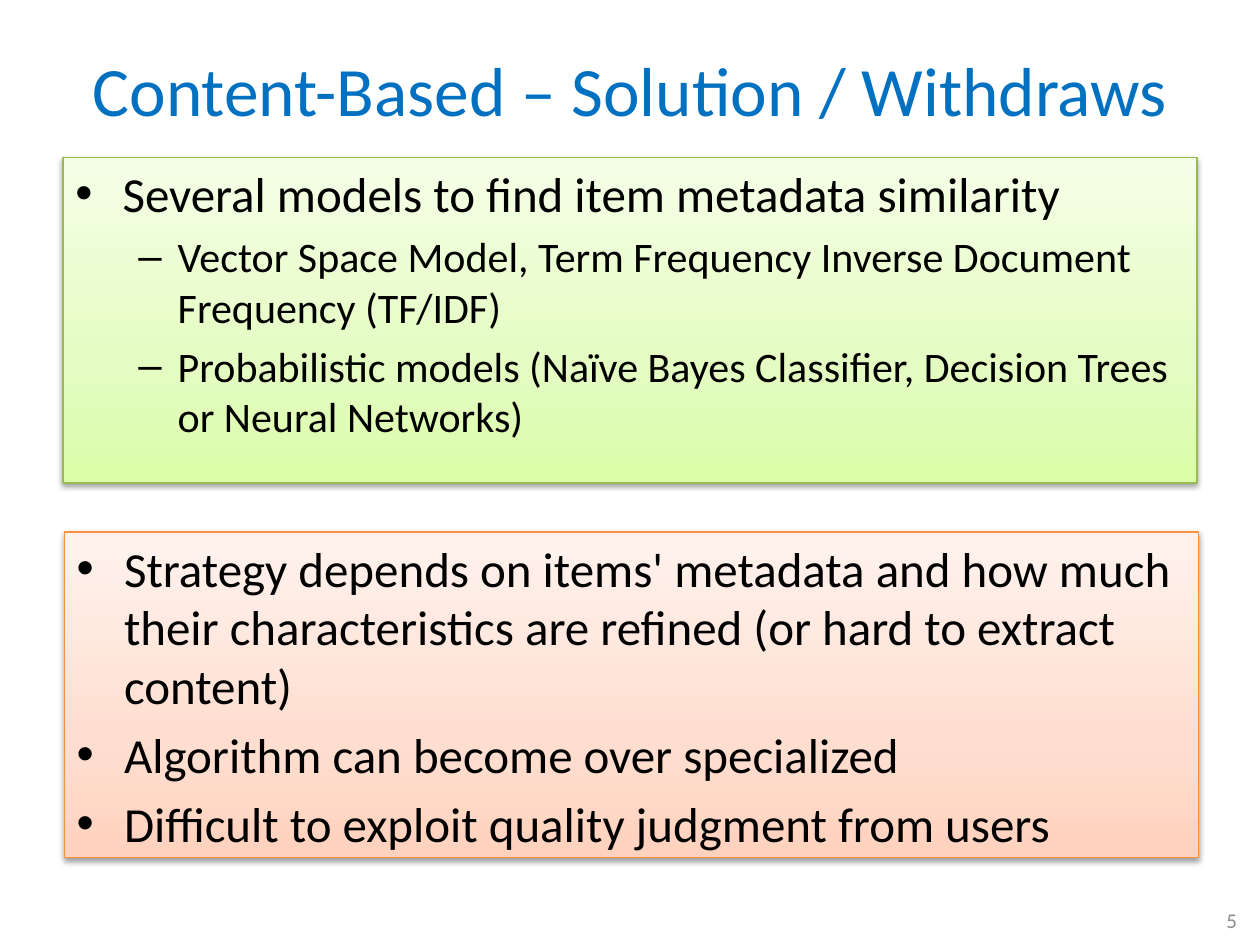
from lxml.etree import SubElement
from pptx import Presentation
from pptx.dml.color import RGBColor
from pptx.enum.shapes import MSO_SHAPE
from pptx.enum.text import MSO_ANCHOR, MSO_AUTO_SIZE, PP_ALIGN
from pptx.oxml.ns import qn
from pptx.util import Pt

COLORS = {
    "title": "0070C0",
    "text": "000000",
    "number": "8C8C8C",
    "shadow": "000000",
    "solution_line": "98B955",
    "drawback_line": "F69240",
}
GRADIENTS = {
    "solution": {0: "DAFDA7", 35: "E4FCC2", 100: "F5FFE7"},
    "drawback": {0: "FFD2BD", 35: "FFDED0", 100: "FFF2ED"},
}
LEVELS = [
    {"size": 28, "margin": 27, "hanging": 27, "bullet": "•"},
    {"size": 24, "margin": 58.5, "hanging": 22.5, "bullet": "–"},
]
SOLUTIONS = [
    (0, "Several models to find item metadata similarity"),
    (1, "Vector Space Model, Term Frequency Inverse Document Frequency (TF/IDF)"),
    (1, "Probabilistic models (Naïve Bayes Classifier, Decision Trees or Neural Networks)"),
]
DRAWBACKS = [
    (0, "Strategy depends on items' metadata and how much their characteristics "
        "are refined (or hard to extract content)"),
    (0, "Algorithm can become over specialized"),
    (0, "Difficult to exploit quality judgment from users"),
]


def write(paragraph, text, size=28, color="text", align=PP_ALIGN.LEFT):
    paragraph.alignment = align
    run = paragraph.add_run()
    run.text = text
    run.font.name = "Calibri"
    run.font.size = Pt(size)
    run.font.color.rgb = RGBColor.from_string(COLORS[color])


def prepare_frame(frame, anchor):
    frame.word_wrap = True
    frame.auto_size = MSO_AUTO_SIZE.NONE
    frame.vertical_anchor = anchor


def add_bullet(paragraph, level, text):
    style = LEVELS[level]
    write(paragraph, text, size=style["size"])
    paragraph.level = level
    paragraph.space_before = Pt(style["size"] * 0.2)
    properties = paragraph._p.get_or_add_pPr()
    properties.set("marL", str(Pt(style["margin"])))
    properties.set("indent", str(-Pt(style["hanging"])))
    SubElement(properties, qn("a:buFont"), typeface="Arial")
    SubElement(properties, qn("a:buChar"), char=style["bullet"])


def fill_gradient(panel, stops):
    panel.fill.gradient()
    panel.fill.gradient_angle = 90
    stop_list = panel._element.spPr.find(".//" + qn("a:gsLst"))
    for stop in list(stop_list):
        stop_list.remove(stop)
    for position, color in stops.items():
        stop = SubElement(stop_list, qn("a:gs"), pos=str(position * 1000))
        SubElement(stop, qn("a:srgbClr"), val=color)


def cast_shadow(panel):
    panel.shadow.inherit = False
    effects = panel._element.spPr.find(qn("a:effectLst"))
    shadow = SubElement(effects, qn("a:outerShdw"), blurRad=str(Pt(3.1)),
                        dist=str(Pt(1.6)), dir="5400000", rotWithShape="0")
    color = SubElement(shadow, qn("a:srgbClr"), val=COLORS["shadow"])
    SubElement(color, qn("a:alpha"), val="38000")


def add_panel(slide, kind, left, top, bullets):
    panel = slide.shapes.add_shape(MSO_SHAPE.RECTANGLE, Pt(left), Pt(top), Pt(648), Pt(186))
    fill_gradient(panel, GRADIENTS[kind])
    panel.line.color.rgb = RGBColor.from_string(COLORS[kind + "_line"])
    panel.line.width = Pt(0.75)
    cast_shadow(panel)
    frame = panel.text_frame
    prepare_frame(frame, MSO_ANCHOR.TOP)
    for index, (level, text) in enumerate(bullets):
        paragraph = frame.add_paragraph() if index else frame.paragraphs[0]
        add_bullet(paragraph, level, text)


def set_title(slide, text):
    title = slide.shapes.title
    title.left, title.top, title.width, title.height = Pt(36), Pt(18), Pt(648), Pt(66)
    prepare_frame(title.text_frame, MSO_ANCHOR.MIDDLE)
    write(title.text_frame.paragraphs[0], text, size=39.6, color="title", align=PP_ALIGN.CENTER)


def add_page_number(slide, number):
    page = slide.shapes.add_textbox(Pt(546), Pt(511.2), Pt(168), Pt(28.8))
    prepare_frame(page.text_frame, MSO_ANCHOR.MIDDLE)
    write(page.text_frame.paragraphs[0], number, size=12, color="number", align=PP_ALIGN.RIGHT)


def main():
    deck = Presentation()
    deck.slide_width, deck.slide_height = Pt(720), Pt(540)
    slide = deck.slides.add_slide(deck.slide_layouts.get_by_name("Title Only"))
    add_page_number(slide, "5")
    set_title(slide, "Content-Based – Solution / Withdraws")
    add_panel(slide, "solution", 36, 90, SOLUTIONS)
    add_panel(slide, "drawback", 36.8, 304, DRAWBACKS)
    deck.save("out.pptx")


if __name__ == "__main__":
    main()
